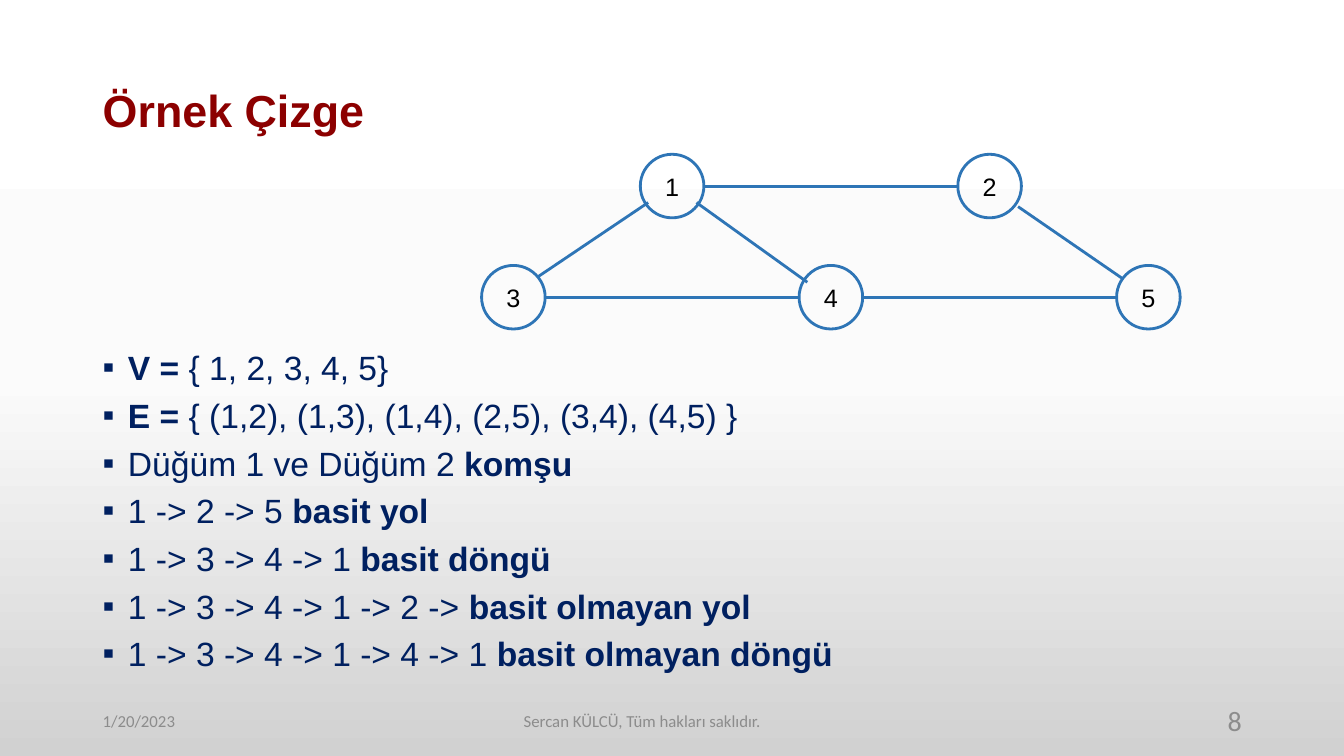
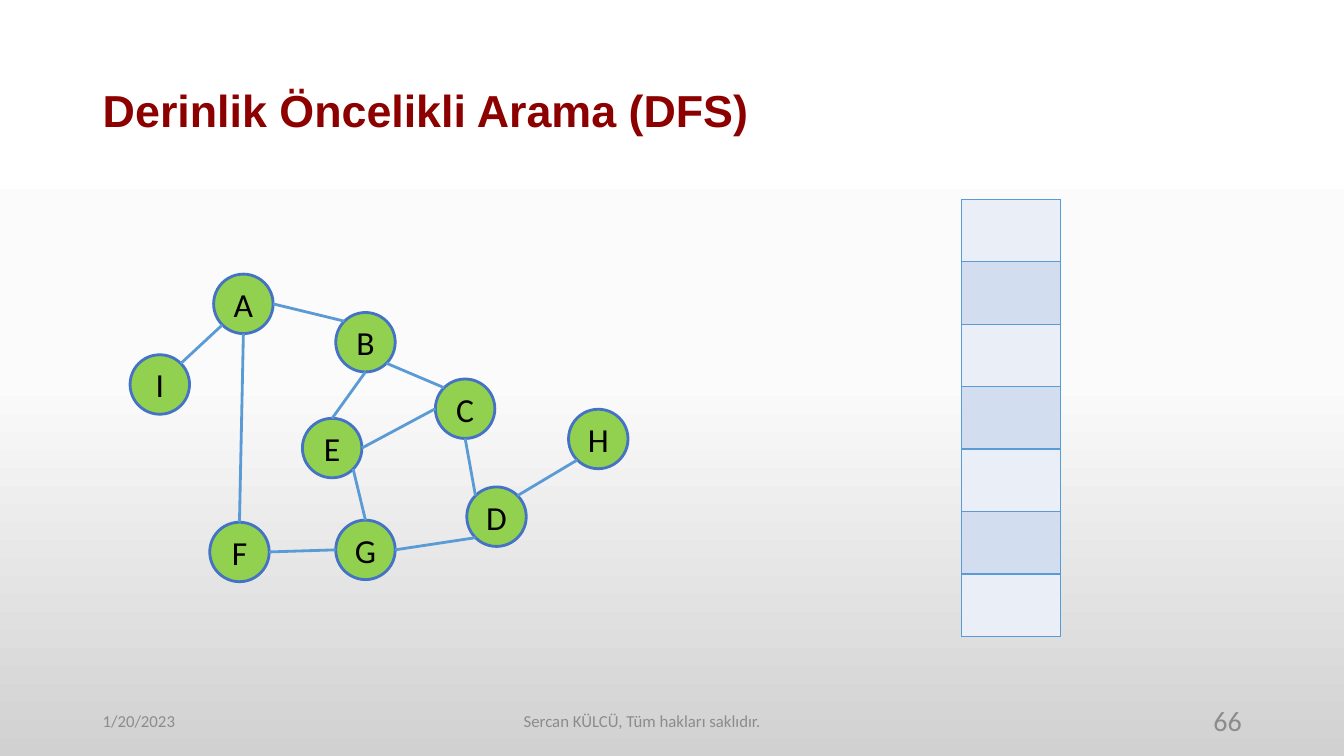
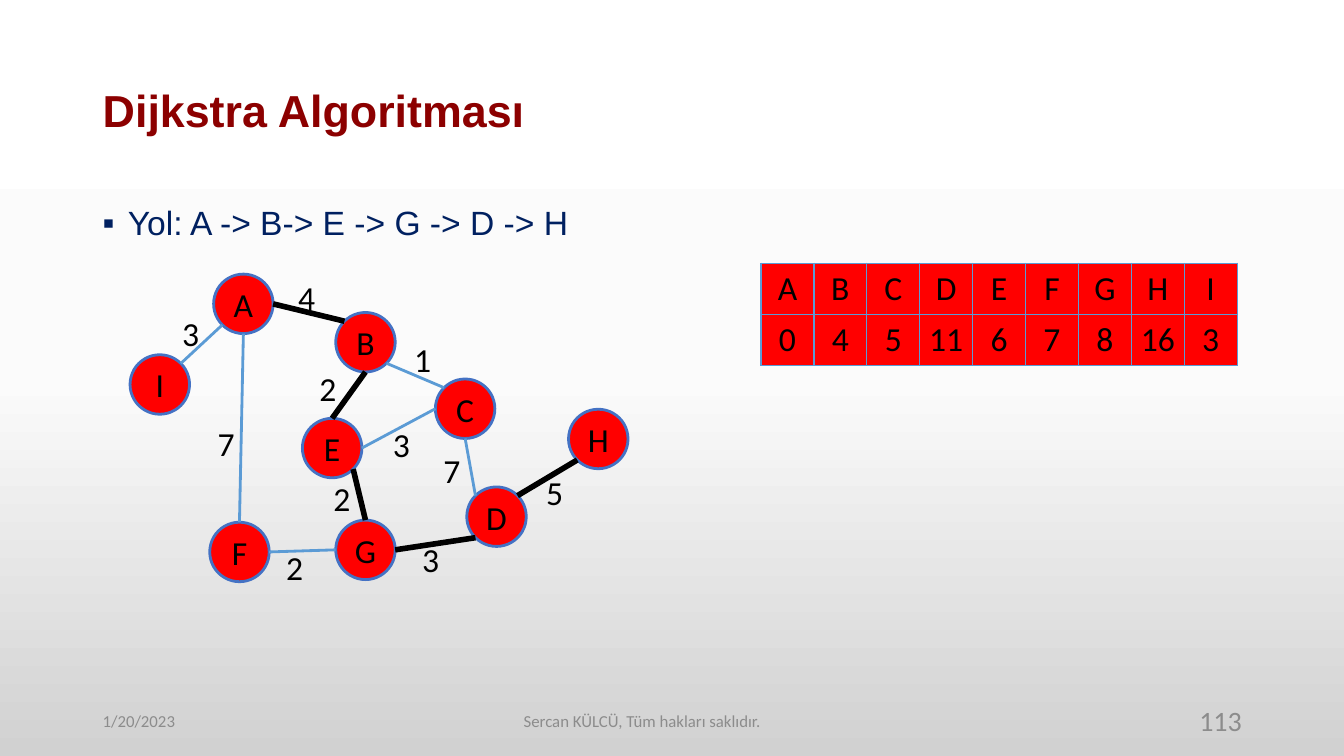
from copy import deepcopy
from math import cos, radians, sin

from lxml import etree
from pptx import Presentation
from pptx.dml.color import RGBColor
from pptx.enum.shapes import MSO_CONNECTOR, MSO_SHAPE
from pptx.enum.text import MSO_ANCHOR, MSO_AUTO_SIZE, PP_ALIGN
from pptx.oxml.ns import qn
from pptx.util import Pt

LEFT, CENTER, RIGHT, JUSTIFY = PP_ALIGN.LEFT, PP_ALIGN.CENTER, PP_ALIGN.RIGHT, PP_ALIGN.JUSTIFY
MIDDLE, TOP_ANCHOR = MSO_ANCHOR.MIDDLE, MSO_ANCHOR.TOP
NO_FIT = MSO_AUTO_SIZE.NONE
STRAIGHT, OVAL = MSO_CONNECTOR.STRAIGHT, MSO_SHAPE.OVAL

BLACK = RGBColor(0x00, 0x00, 0x00)
WHITE = RGBColor(0xFF, 0xFF, 0xFF)
OFF_WHITE = RGBColor(0xFB, 0xFB, 0xFB)
SILVER = RGBColor(0xD1, 0xD1, 0xD1)
GRAY = RGBColor(0x8C, 0x8C, 0x8C)
MAROON = RGBColor(0x8C, 0x00, 0x00)
NAVY = RGBColor(0x00, 0x20, 0x60)
DEEP_BLUE = RGBColor(0x2E, 0x75, 0xB6)
NODE_BLUE = RGBColor(0x44, 0x72, 0xC4)
EDGE_BLUE = RGBColor(0x5B, 0x9B, 0xD5)
LIGHT_BAND = RGBColor(0xEA, 0xEF, 0xF7)
DARK_BAND = RGBColor(0xD2, 0xDE, 0xEF)
GREEN = RGBColor(0x92, 0xD0, 0x50)
RED = RGBColor(0xFF, 0x00, 0x00)

TOP, TOP_LEFT, LEFT_SIDE, BOTTOM_LEFT, BOTTOM, BOTTOM_RIGHT, RIGHT_SIDE, TOP_RIGHT = range(8)

MARGIN = 66.2
CONTENT_WIDTH = 828
CONTENT_BOTTOM = 486.7
SMALL_NODE = 42.5
LARGE_NODE = 45.4

VERTICES = {
    "I": (92.9, 253.4), "A": (152.6, 195.8), "B": (239.8, 223.2),
    "C": (311, 270.7), "D": (333.4, 347.8), "H": (406.1, 292.3),
    "G": (239.8, 371.5), "F": (149.8, 373), "E": (216, 298.8),
}
EDGES = [
    ("I", TOP_RIGHT, "A", BOTTOM_LEFT),
    ("A", BOTTOM, "F", TOP),
    ("A", RIGHT_SIDE, "B", TOP_LEFT),
    ("B", BOTTOM_RIGHT, "C", TOP_LEFT),
    ("B", BOTTOM, "E", TOP),
    ("E", RIGHT_SIDE, "C", LEFT_SIDE),
    ("F", RIGHT_SIDE, "G", LEFT_SIDE),
    ("G", RIGHT_SIDE, "D", BOTTOM_LEFT),
    ("D", TOP_RIGHT, "H", BOTTOM_LEFT),
    ("E", BOTTOM_RIGHT, "G", TOP),
    ("C", BOTTOM, "D", TOP_LEFT),
]


def write(frame, *lines, size=24, color=BLACK, font="Calibri", bold=False, align=LEFT,
          anchor=None, insets=None, wrap=None, spacing=None, before=0, bullet=None):
    """Asterisks in a line switch bold on and off."""
    if anchor is not None:
        frame.vertical_anchor = anchor
    if wrap is not None:
        frame.word_wrap = wrap
    if insets:
        frame.margin_left, frame.margin_top, frame.margin_right, frame.margin_bottom = map(Pt, insets)
    for row, line in enumerate(lines):
        paragraph = frame.add_paragraph() if row else frame.paragraphs[0]
        paragraph.alignment = align
        if bullet:
            properties = paragraph._p.get_or_add_pPr()
            properties.set("marL", str(Pt(18)))
            properties.set("indent", str(-Pt(18)))
            etree.SubElement(properties, qn("a:buFont"), typeface="Arial")
            etree.SubElement(properties, qn("a:buChar"), char=bullet)
        if spacing:
            paragraph.line_spacing = spacing
        paragraph.space_before = Pt(before if row else 0)
        for part, words in enumerate(line.split("*")):
            if words:
                run = paragraph.add_run()
                run.text = words
                run.font.name, run.font.size = font, Pt(size)
                run.font.bold = bold or part % 2 == 1
                run.font.color.rgb = color


class Deck:
    def __init__(self):
        self.presentation = Presentation()
        self.presentation.slide_width = Pt(960)
        self.presentation.slide_height = Pt(540)
        self.slide = None
        self.paint_background()

    def paint_background(self):
        master = self.presentation.slide_master
        fill = master.background.fill
        fill.gradient()
        fill.gradient_angle = 270
        stops = next(master.element.iter(qn("a:gsLst")))
        stops.append(deepcopy(stops[-1]))
        for stop, position, color in zip(fill.gradient_stops, (0, 0.5, 1), (WHITE, OFF_WHITE, SILVER)):
            stop.position = position
            stop.color.rgb = color

    def start(self, title, number, has_body=True):
        layout = self.presentation.slide_layouts[1 if has_body else 5]
        self.slide = self.presentation.slides.add_slide(layout)
        heading = self.slide.shapes.title
        self.place(heading, MARGIN, 28.8, CONTENT_WIDTH, 104.4)
        heading.text_frame.auto_size = NO_FIT
        write(heading.text_frame, title, size=32, color=MAROON, font="Arial", bold=True,
              anchor=MIDDLE, spacing=0.9)
        footers = [
            ("1/20/2023", MARGIN, 216, LEFT, 12),
            ("Sercan KÜLCÜ, Tüm hakları saklıdır.", 185.8, 545.8, CENTER, 12),
            (number, 678.2, 216, RIGHT, 20),
        ]
        for words, left, width, align, size in footers:
            self.text(words, left, 500.4, width, 28.8, size=size, color=GRAY,
                      align=align, anchor=MIDDLE)

    def place(self, shape, left, top, width, height):
        shape.left, shape.top, shape.width, shape.height = map(Pt, (left, top, width, height))

    def text(self, words, left, top, width, height, **style):
        box = self.slide.shapes.add_textbox(Pt(left), Pt(top), Pt(width), Pt(height))
        write(box.text_frame, words, wrap=True, **style)

    def bullets(self, *lines, top=144, spacing=0.9, before=10):
        body = self.slide.placeholders[1]
        self.place(body, MARGIN, top, CONTENT_WIDTH, CONTENT_BOTTOM - top)
        body.text_frame.auto_size = NO_FIT
        write(body.text_frame, *lines, color=NAVY, font="Arial", align=JUSTIFY,
              anchor=TOP_ANCHOR, spacing=spacing, before=before, bullet="▪")

    def node(self, label, left, top, diameter, outline, fill=None, **style):
        circle = self.slide.shapes.add_shape(OVAL, Pt(left), Pt(top), Pt(diameter), Pt(diameter))
        circle.shadow.inherit = False
        if fill is None:
            circle.fill.background()
        else:
            circle.fill.solid()
            circle.fill.fore_color.rgb = fill
        circle.line.color.rgb = outline
        circle.line.width = Pt(2)
        write(circle.text_frame, label, align=CENTER, anchor=MIDDLE, insets=(0, 0, 0, 0),
              wrap=False, **style)
        return circle

    def edge(self, start, end, color, width=2):
        line = self.slide.shapes.add_connector(STRAIGHT, *map(Pt, start + end))
        line.line.color.rgb = color
        line.line.width = Pt(width)
        etree.SubElement(line.element.spPr, qn("a:effectLst"))
        return line

    def graph(self, fill, route=()):
        circles = {name: self.node(name, *corner, SMALL_NODE, NODE_BLUE, fill)
                   for name, corner in VERTICES.items()}
        for first, first_site, second, second_site in EDGES:
            on_route = first + second in route
            line = self.edge(rim(first, first_site), rim(second, second_site),
                             BLACK if on_route else EDGE_BLUE, 4 if on_route else 2)
            joints = next(line.element.iter(qn("p:cNvCxnSpPr")))
            for tag, name, site in (("a:stCxn", first, first_site), ("a:endCxn", second, second_site)):
                etree.SubElement(joints, qn(tag), id=str(circles[name].shape_id), idx=str(site))

    def table(self, rows, left, top, column_width, row_height, fills):
        columns = len(rows[0])
        grid = self.slide.shapes.add_table(len(rows), columns, Pt(left), Pt(top),
                                           Pt(column_width * columns),
                                           Pt(row_height * len(rows))).table
        grid.first_row = grid.horz_banding = False
        for column in grid.columns:
            column.width = Pt(column_width)
        for r, values in enumerate(rows):
            grid.rows[r].height = Pt(row_height)
            for c, value in enumerate(values):
                cell = grid.cell(r, c)
                cell.margin_left = cell.margin_right = Pt(3)
                cell.vertical_anchor = MIDDLE
                self.border(cell)
                cell.fill.solid()
                cell.fill.fore_color.rgb = fills[r % len(fills)]
                write(cell.text_frame, value, align=CENTER)

    def border(self, cell):
        properties = cell._tc.get_or_add_tcPr()
        for side in ("a:lnL", "a:lnR", "a:lnT", "a:lnB"):
            line = etree.SubElement(properties, qn(side), w=str(Pt(1)))
            solid = etree.SubElement(line, qn("a:solidFill"))
            etree.SubElement(solid, qn("a:srgbClr"), val=str(EDGE_BLUE))


def rim(name, site):
    left, top = VERTICES[name]
    radius = SMALL_NODE / 2
    angle = radians(90 + 45 * site)
    return left + radius * (1 + cos(angle)), top + radius * (1 - sin(angle))


def example_graph(deck):
    deck.start("Örnek Çizge", "8")
    deck.bullets(
        "*V = *{ 1, 2, 3, 4, 5}",
        "*E = *{ (1,2), (1,3), (1,4), (2,5), (3,4), (4,5) }",
        "Düğüm 1 ve Düğüm 2 *komşu*",
        "1 -> 2 -> 5 *basit yol*",
        "1 -> 3 -> 4 -> 1 *basit döngü*",
        "1 -> 3 -> 4 -> 1 -> 2 -> *basit olmayan yol*",
        "1 -> 3 -> 4 -> 1 -> 4 -> 1 *basit olmayan döngü*",
        top=250, spacing=0.8, before=11,
    )
    lines = [
        ((497.5, 144.7), (576.7, 201.6)),
        ((502.6, 133.2), (684, 133.2)),
        ((727.2, 147.6), (801.4, 198.7)),
        ((571, 212.4), (389.5, 212.4)),
        ((797.8, 212.4), (616.3, 212.4)),
        ((463, 144.7), (383.8, 198)),
    ]
    for start, end in lines:
        deck.edge(start, end, DEEP_BLUE)
    for step, label in enumerate("31425"):
        deck.node(label, 344 + 113.4 * step, 110.2 if step % 2 else 189.6, LARGE_NODE,
                  DEEP_BLUE, size=18, font="Arial")


def depth_first_search(deck):
    deck.start("Derinlik Öncelikli Arama (DFS)", "66", has_body=False)
    deck.graph(GREEN)
    deck.table([[""]] * 7, 686.9, 142.4, 70.8, 44.6, (LIGHT_BAND, DARK_BAND))


def dijkstra(deck):
    deck.start("Dijkstra Algoritması", "113")
    deck.bullets("Yol: A -> B-> E -> G -> D -> H")
    deck.graph(RED, route=("AB", "BE", "EG", "GD", "DH"))
    distances = ["0", "4", "5", "11", "6", "7", "8", "16", "3"]
    deck.table([list("ABCDEFGHI"), distances], 543.6, 188, 37.8, 36.4, (RED,))
    weights = [
        ("3", 123.1, 220.3), ("4", 205.9, 194.4), ("7", 148.3, 298.8), ("2", 197.3, 387.4),
        ("3", 294.5, 381.6), ("5", 383, 333.4), ("1", 288.7, 238.3), ("2", 221, 259.2),
        ("2", 231.1, 337.7), ("3", 273.6, 299.5), ("7", 309.6, 318.2),
    ]
    for weight, left, top in weights:
        deck.text(weight, left, top, 20, 36, insets=(7.2, 3.6, 0, 3.6))


def main():
    deck = Deck()
    example_graph(deck)
    depth_first_search(deck)
    dijkstra(deck)
    deck.presentation.save("out.pptx")


if __name__ == "__main__":
    main()
